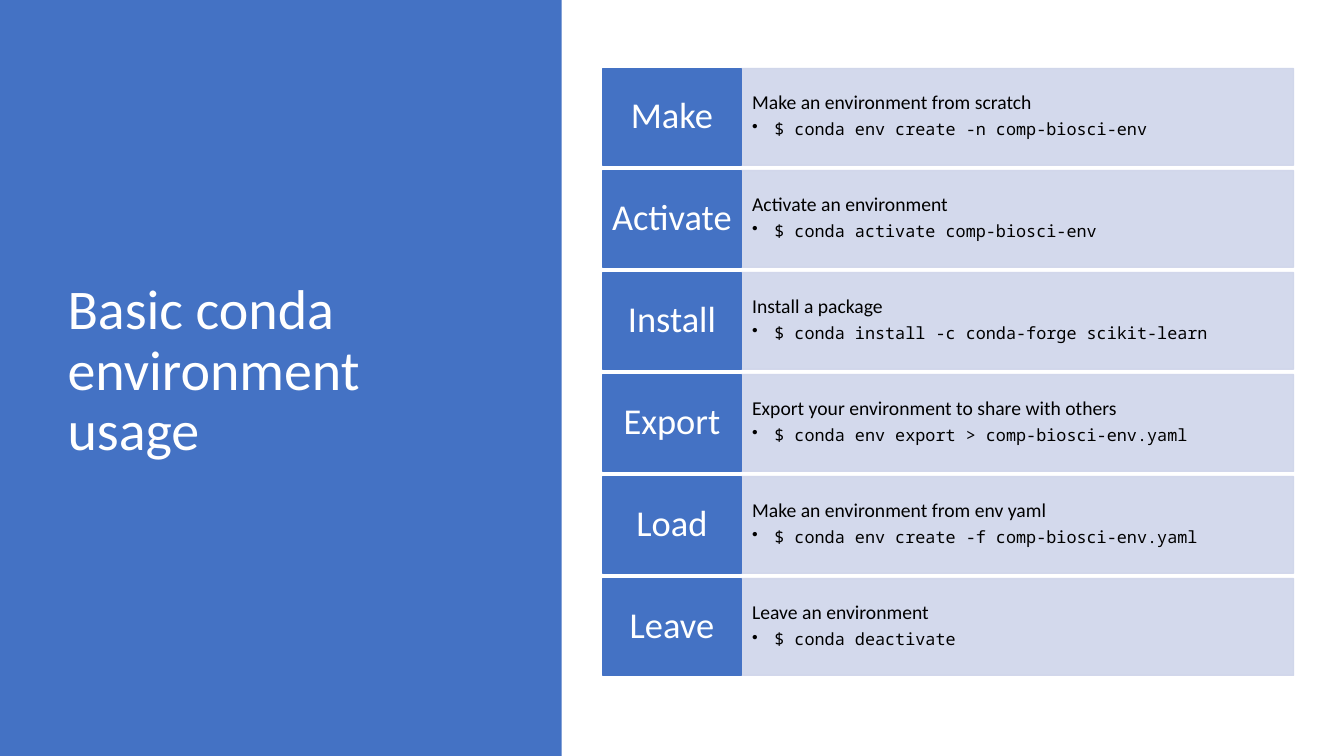
from lxml import etree
from pptx import Presentation
from pptx.dml.color import RGBColor
from pptx.enum.shapes import MSO_SHAPE as Shape
from pptx.enum.text import MSO_ANCHOR as Anchor, PP_ALIGN as Align
from pptx.oxml.ns import qn
from pptx.util import Inches, Pt

BLUE = RGBColor(0x44, 0x72, 0xC4)
PALE = RGBColor(0xCF, 0xD5, 0xEA)
WHITE = RGBColor(0xFF, 0xFF, 0xFF)
BLACK = RGBColor(0x00, 0x00, 0x00)
BODY_FONT = "Calibri"
CODE_FONT = "Noto Sans Mono"

TOP, ROW_HEIGHT, ROW_STEP = 0.68, 0.96, 1.012
LABEL_LEFT, LABEL_WIDTH = 5.98, 1.37
DETAIL_LEFT, DETAIL_WIDTH = LABEL_LEFT + LABEL_WIDTH, 5.48
BULLET_INDENT = 0.22

STEPS = [
    ("Make", "Make an environment from scratch",
     "$ conda env create -n comp-biosci-env"),
    ("Activate", "Activate an environment",
     "$ conda activate comp-biosci-env"),
    ("Install", "Install a package",
     "$ conda install -c conda-forge scikit-learn"),
    ("Export", "Export your environment to share with others",
     "$ conda env export > comp-biosci-env.yaml"),
    ("Load", "Make an environment from env yaml",
     "$ conda env create -f comp-biosci-env.yaml"),
    ("Leave", "Leave an environment",
     "$ conda deactivate"),
]


def write(paragraph, text, size, color, font=BODY_FONT, align=Align.LEFT,
          after=0, bullet=False):
    """Fill a paragraph with formatted text."""
    if bullet:
        properties = paragraph._p.get_or_add_pPr()
        properties.set("marL", str(Inches(BULLET_INDENT)))
        properties.set("indent", str(-Inches(BULLET_INDENT)))
        etree.SubElement(properties, qn("a:buChar")).set("char", "•")
    paragraph.alignment = align
    paragraph.line_spacing = 0.9
    paragraph.space_before = Pt(0)
    paragraph.space_after = Pt(after)
    run = paragraph.add_run()
    run.text = text
    run.font.size = Pt(size)
    run.font.name = font
    run.font.color.rgb = color


def set_frame(frame, anchor, side, edge):
    """Set wrapping, anchor and insets of a text frame."""
    frame.word_wrap = True
    frame.vertical_anchor = anchor
    frame.margin_left = frame.margin_right = Inches(side)
    frame.margin_top = frame.margin_bottom = Inches(edge)


class CommandSlide:
    def __init__(self, presentation):
        self.slide = presentation.slides.add_slide(presentation.slide_layouts[5])

    def box(self, left, top, width, height, color, outlined=True, opacity=100):
        shape = self.slide.shapes.add_shape(
            Shape.RECTANGLE, Inches(left), Inches(top), Inches(width), Inches(height))
        shape.shadow.inherit = False
        shape.fill.solid()
        shape.fill.fore_color.rgb = color
        if outlined:
            shape.line.color.rgb = color
            shape.line.width = Pt(1)
        else:
            shape.line.fill.background()
        if opacity < 100:
            for fill_color in shape.element.spPr.iter(qn("a:srgbClr")):
                etree.SubElement(fill_color, qn("a:alpha")).set("val", str(opacity * 1000))
        return shape

    def title_panel(self, text):
        panel = self.box(0, 0, 5.57, 7.5, BLUE, outlined=False)
        title = self.slide.shapes.title
        title.element.addprevious(panel.element)
        title.left, title.top = Inches(0.57), Inches(0.68)
        title.width, title.height = Inches(4.16), Inches(6.02)
        set_frame(title.text_frame, Anchor.MIDDLE, 0.1, 0.05)
        write(title.text_frame.paragraphs[0], text, 40, WHITE)

    def step_row(self, top, label, summary, command):
        detail = self.box(DETAIL_LEFT, top, DETAIL_WIDTH, ROW_HEIGHT, PALE, opacity=90)
        frame = detail.text_frame
        set_frame(frame, Anchor.TOP, 0.11, 0.24)
        write(frame.paragraphs[0], summary, 14, BLACK, after=5)
        write(frame.add_paragraph(), command, 12, BLACK, font=CODE_FONT, bullet=True)

        name = self.box(LABEL_LEFT, top, LABEL_WIDTH, ROW_HEIGHT, BLUE)
        set_frame(name.text_frame, Anchor.MIDDLE, 0.07, 0.09)
        write(name.text_frame.paragraphs[0], label, 26, WHITE, align=Align.CENTER)


def main():
    presentation = Presentation()
    presentation.slide_width = Inches(13.33)
    presentation.slide_height = Inches(7.5)
    page = CommandSlide(presentation)

    # Title on the left panel
    page.title_panel("Basic conda environment usage")

    # One row per command
    for index, step in enumerate(STEPS):
        page.step_row(TOP + index * ROW_STEP, *step)

    presentation.save("out.pptx")


if __name__ == "__main__":
    main()
